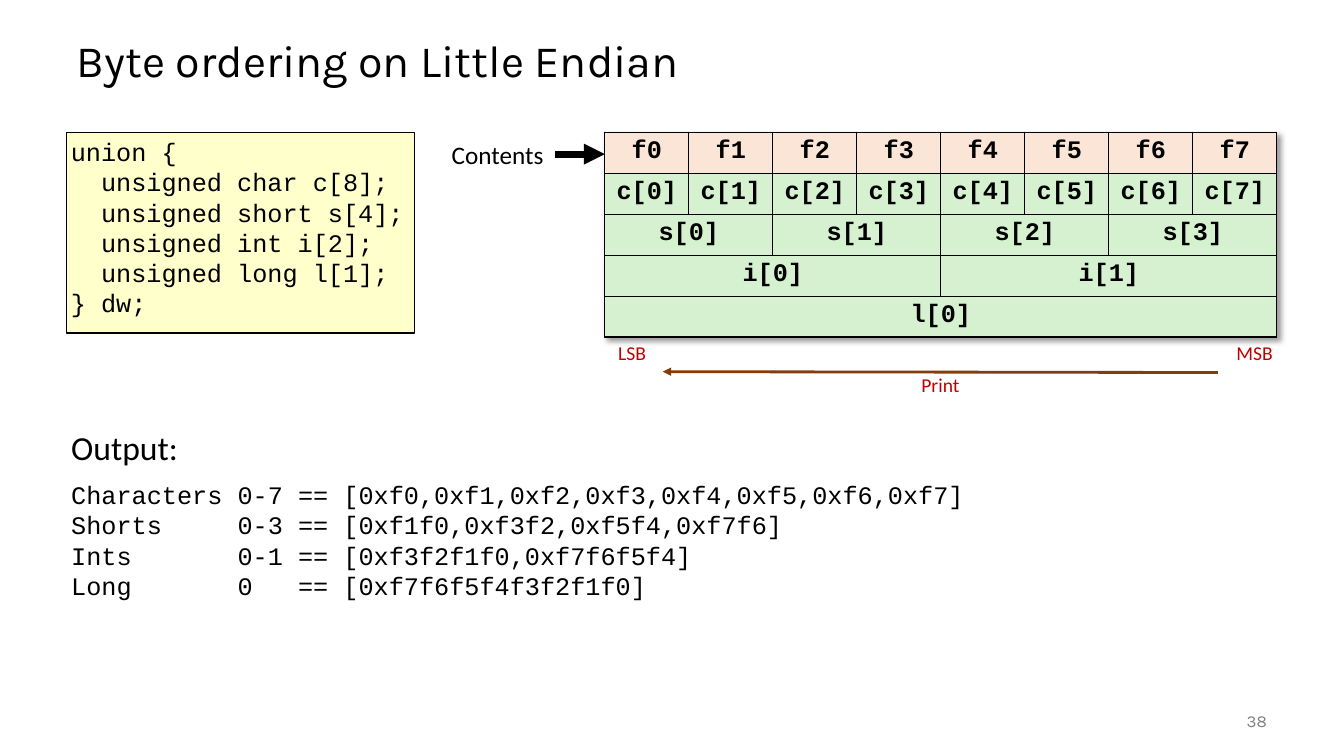
from dataclasses import dataclass
from lxml.etree import SubElement
from pptx import Presentation
from pptx.dml.color import RGBColor
from pptx.enum.shapes import MSO_CONNECTOR, MSO_SHAPE
from pptx.enum.text import MSO_ANCHOR, PP_ALIGN
from pptx.oxml import parse_xml
from pptx.oxml.ns import nsdecls, qn
from pptx.util import Inches, Pt


@dataclass(frozen=True)
class Theme:
    """Colours, fonts and type sizes of the slide."""
    black: str = "000000"
    gray: str = "808080"
    red: str = "C00000"
    brown: str = "843C0B"
    cream: str = "FFFFCC"
    peach: str = "FBE5D6"
    green: str = "D5F1CF"
    head: str = "Karla"
    body: str = "Calibri"
    mono: str = "Courier New"
    title: int = 32
    lead: int = 24
    text: int = 18
    note: int = 14
    foot: int = 12


THEME = Theme()
WIDE, HIGH = Inches(13.33), Inches(7.5)
COLS, ROWS = 160, 90
PAD = Inches(0.04)

CODE = """union {
  unsigned char c[8];
  unsigned short s[4];
  unsigned int i[2];
  unsigned long l[1];
} dw;"""

RESULT = """Characters 0-7 == [0xf0,0xf1,0xf2,0xf3,0xf4,0xf5,0xf6,0xf7]
Shorts     0-3 == [0xf1f0,0xf3f2,0xf5f4,0xf7f6]
Ints       0-1 == [0xf3f2f1f0,0xf7f6f5f4]
Long       0   == [0xf7f6f5f4f3f2f1f0]"""

BYTES = 8
LEVELS = [("f{}", 1), ("c[{}]", 1), ("s[{}]", 2), ("i[{}]", 4), ("l[{}]", 8)]


def across(cols):
    """Return the length of some grid columns."""
    return round(WIDE * cols / COLS)


def down(rows):
    """Return the length of some grid rows."""
    return round(HIGH * rows / ROWS)


def place(box):
    """Turn a box in grid units into slide lengths."""
    x, y, w, h = box
    return across(x), down(y), across(w), down(h)


def write(frame, text, size, font, color=THEME.black, align=PP_ALIGN.LEFT, bold=False):
    """Fill a text frame and format its runs."""
    frame.text = text
    for para in frame.paragraphs:
        para.alignment = align
        for run in para.runs:
            run.font.size, run.font.name, run.font.bold = Pt(size), font, bold
            run.font.color.rgb = RGBColor.from_string(color)


def inset(frame):
    """Give a frame narrow margins."""
    frame.margin_left = frame.margin_right = PAD
    frame.margin_top = frame.margin_bottom = PAD


def label(slide, box, text, size, font, color=THEME.black,
          align=PP_ALIGN.LEFT, tight=True, wrap=True):
    """Add a text box and return its frame."""
    frame = slide.shapes.add_textbox(*place(box)).text_frame
    frame.word_wrap = wrap
    if tight:
        inset(frame)
    write(frame, text, size, font, color, align)
    return frame


def arrow(slide, start, end, color, width):
    """Draw a straight arrow between two grid points."""
    line = slide.shapes.add_connector(
        MSO_CONNECTOR.STRAIGHT, across(start[0]), down(start[1]),
        across(end[0]), down(end[1]))
    line.line.color.rgb = RGBColor.from_string(color)
    line.line.width = Pt(width)
    SubElement(line.line._get_or_add_ln(), qn("a:tailEnd"), type="triangle")
    SubElement(line._element.spPr, qn("a:effectLst"))


def edge(cell):
    """Draw thin black borders round a cell."""
    props = cell._tc.get_or_add_tcPr()
    for spot, side in enumerate(("lnL", "lnR", "lnT", "lnB")):
        props.insert(spot, parse_xml(
            f'<a:{side} {nsdecls("a")} w="{Pt(1)}"><a:solidFill>'
            f'<a:srgbClr val="{THEME.black}"/></a:solidFill></a:{side}>'))


def shade(table):
    """Cast a soft shadow behind the table."""
    table._tbl.tblPr.insert(0, parse_xml(
        f'<a:effectLst {nsdecls("a")}><a:outerShdw blurRad="50800" dist="38100" '
        'dir="2700000" algn="tl" rotWithShape="0"><a:srgbClr val="000000">'
        '<a:alpha val="40000"/></a:srgbClr></a:outerShdw></a:effectLst>'))


def draw_head(slide, box):
    """Place the slide title."""
    frame = label(slide, box, "Byte ordering on Little Endian",
                  THEME.title, THEME.head, tight=False)
    frame.vertical_anchor = MSO_ANCHOR.MIDDLE
    frame.paragraphs[0].line_spacing = 0.9


def draw_code(slide, box):
    """Place the union code on a cream panel."""
    panel = slide.shapes.add_shape(MSO_SHAPE.RECTANGLE, *place(box))
    panel.shadow.inherit = False
    panel.fill.solid()
    panel.fill.fore_color.rgb = RGBColor.from_string(THEME.cream)
    panel.line.color.rgb = RGBColor.from_string(THEME.black)
    panel.line.width = Pt(1)
    frame = panel.text_frame
    frame.word_wrap = True
    frame.vertical_anchor = MSO_ANCHOR.TOP
    inset(frame)
    write(frame, CODE, THEME.text, THEME.mono)


def draw_bytes(slide, box):
    """Place the byte table, one row for each level of the union."""
    x, y, w, h = box
    table = slide.shapes.add_table(len(LEVELS), BYTES, *place(box)).table
    table.first_row = table.horz_banding = False
    shade(table)
    for col in table.columns:
        col.width = across(w / BYTES)
    for row, (name, span) in enumerate(LEVELS):
        table.rows[row].height = down(h / len(LEVELS))
        for col in range(BYTES):
            cell = table.cell(row, col)
            cell.fill.solid()
            cell.fill.fore_color.rgb = RGBColor.from_string(
                THEME.green if row else THEME.peach)
            edge(cell)
        for col in range(0, BYTES, span):
            cell = table.cell(row, col)
            if span > 1:
                cell.merge(table.cell(row, col + span - 1))
            write(cell.text_frame, name.format(col // span), THEME.text,
                  THEME.mono, align=PP_ALIGN.CENTER, bold=True)


def draw_notes(slide, box):
    """Place the labels and arrows round the byte table's box."""
    x, y, w, h = box
    base = y + h
    label(slide, (x - 19.4, y + 0.2, 13.6, 4.8), "Contents", THEME.text,
          THEME.body, tight=False, wrap=False)
    arrow(slide, (x - 5.9, y + 2.6), (x, y + 2.6), THEME.black, 5)
    for text, left, top, width, align in (
            ("LSB", x + 1.1, base, 4.3, PP_ALIGN.RIGHT),
            ("MSB", x + w - 5.4, base, 5.4, PP_ALIGN.RIGHT),
            ("Print", x + 37.2, base + 3.8, 5.8, PP_ALIGN.LEFT)):
        label(slide, (left, top, width, 3.8), text, THEME.note, THEME.body,
              THEME.red, align, wrap=False)
    arrow(slide, (x + w - 7, base + 4.2), (x + 6.9, base + 4.1), THEME.brown, 2)


def draw_output(slide, box):
    """Place the output heading and the printed lines."""
    x, y, w, h = box
    label(slide, (x, y, w, 5.9), "Output:", THEME.lead, THEME.body)
    label(slide, (x, y + 6.3, w, h - 6.3), RESULT, THEME.text, THEME.mono)


def draw_foot(slide, box):
    """Place the slide number."""
    frame = label(slide, box, "38", THEME.foot, THEME.head, THEME.gray,
                  PP_ALIGN.RIGHT, tight=False)
    frame.vertical_anchor = MSO_ANCHOR.MIDDLE


def main():
    """Build the slide and save it."""
    deck = Presentation()
    deck.slide_width, deck.slide_height = WIDE, HIGH
    slide = deck.slides.add_slide(deck.slide_layouts[6])
    grid = (72, 15.75, 80, 24.4)
    draw_head(slide, (7.95, 3, 144, 9))
    draw_code(slide, (7.95, 15.75, 41.4, 23.9))
    draw_bytes(slide, grid)
    draw_notes(slide, grid)
    draw_output(slide, (8, 50.3, 115, 22.5))
    draw_foot(slide, (140, 83.4, 12, 4.8))
    deck.save("out.pptx")


if __name__ == "__main__":
    main()
